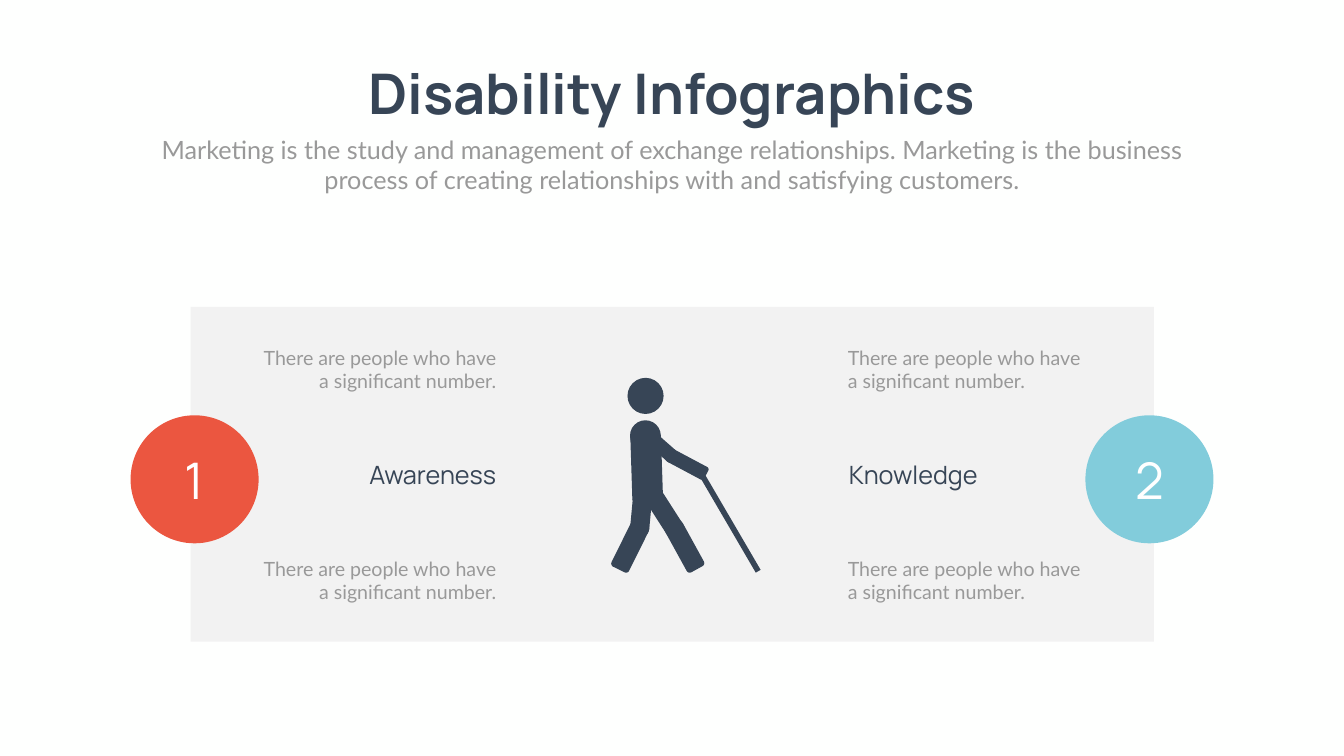
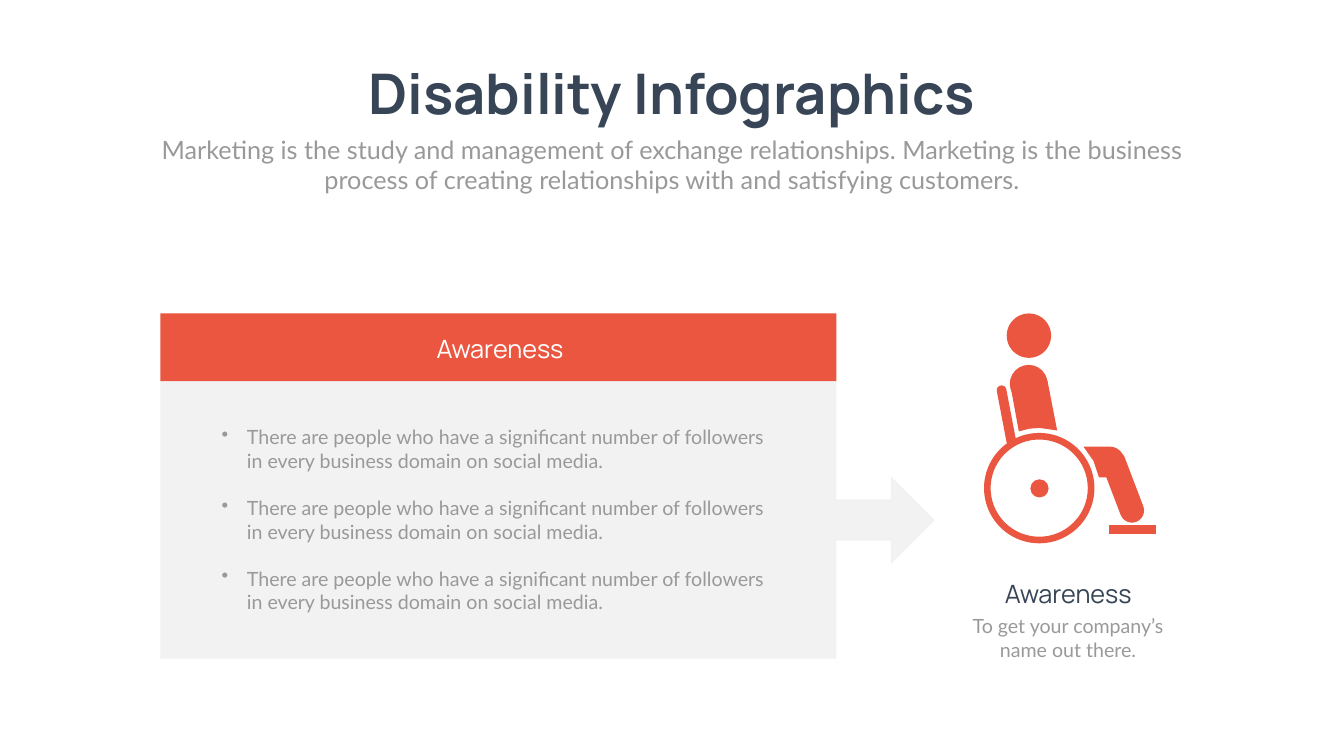
import math
from dataclasses import dataclass

import lxml.etree
import pptx
import pptx.dml.color
import pptx.enum.shapes
import pptx.enum.text
import pptx.oxml.ns
import pptx.util

Pt = pptx.util.Pt
ALIGN = pptx.enum.text.PP_ALIGN
KIND = pptx.enum.shapes.MSO_SHAPE
Box = tuple[float, float, float, float]

# Shared look
WIDE, HIGH = 1919.5, 1080
PAPER, INK, GREY, PALE = "FEFFFE", "374556", "999999", "F2F2F2"
RED, BLUE, WHITE = "EB5640", "82CCDB", "FFFFFF"
HEAD, BODY = "Manrope", "Lato"
NOTE = "There are people who have a significant number."
POINT = ("There are people who have a significant number of followers "
         "in every business domain on social media.")


@dataclass
class Corner:
    x: float
    y: float
    r: float = 0


@dataclass
class Limb:
    """A bar from a to b, with its own corner radius at each end."""
    a: tuple[float, float]
    b: tuple[float, float]
    width: float
    ra: float = 0
    rb: float = 0


@dataclass
class Disc:
    x: float
    y: float
    r: float


@dataclass
class Side:
    num: str
    name: str
    fill: str
    disc: float
    note: float
    label: tuple[float, float]
    align: ALIGN


SIDES = [
    Side("1", "Awareness", RED, 186.5, 363.6, (438.5, 277.2), ALIGN.RIGHT),
    Side("2", "Knowledge", BLUE, 1550.2, 1203.8, (1205.3, 246.2), ALIGN.LEFT),
]

WALKER = [
    Disc(922, 565.6, 25.8),                                        # head
    Limb((950, 646.6), (1008.7, 677.9), 20.2, 10, 4),              # forearm
    Limb((916.2, 613.6), (966.6, 657.9), 20, 10, 10),              # upper arm
    Limb((919.5, 741.6), (883.8, 813.6), 28, 14, 5),               # back shin
    Limb((912.4, 767.9), (919.8, 687.6), 27.4, 13.7, 5),           # back thigh
    Limb((970.8, 766.9), (927.4, 699.1), 27.5, 13.7, 5),           # front thigh
    Limb((956.6, 742.6), (995.4, 813.2), 28, 14, 5),               # front shin
    Disc(921.8, 622.4, 22),                                        # shoulder
    Limb((922, 619.2), (925.2, 717.1), 43.8, 5, 5),                # torso
    Limb((1003.3, 679.7), (1082.9, 816.1), 8),                     # cane
]

SITTER = [
    Disc(1469.5, 479.5, 31.7),                                     # head
    Limb((1622.9, 745.5), (1587.6, 653), 34.6, 17.3, 6),           # shin
    Disc(1469.2, 548.3, 27),                                       # shoulder
    Limb((1429.2, 550.8), (1445.8, 637.9), 13.8, 6.9, 6.9),        # chair back
    Disc(1484.6, 697.7, 13),                                       # hub
    [Corner(1547.3, 637.9), Corner(1606.3, 637.9, 21.6),           # thigh
     Corner(1606.3, 681.8, 21.6), Corner(1569.6, 681.8),
     Corner(1561.7, 658.3)],
    [Corner(1509.8, 614.9), Corner(1495.1, 539.3, 6),              # torso
     Corner(1442.9, 549.7, 6), Corner(1455.1, 616.3),
     Corner(1469.5, 612.5), Corner(1484.6, 611.3)],
    Limb((1584, 756.4), (1651.7, 756.4), 12.2),                    # foot rest
]


def tint(code: str) -> pptx.dml.color.RGBColor:
    return pptx.dml.color.RGBColor.from_string(code)


def paint(shape, fill: str):
    shape.shadow.inherit = False
    shape.fill.solid()
    shape.fill.fore_color.rgb = tint(fill)
    shape.line.fill.background()
    return shape


def draw(slide, kind, box: Box, fill: str):
    return paint(slide.shapes.add_shape(kind, *map(Pt, box)), fill)


# Text
def mark(para, col: str) -> None:
    """Give a paragraph a hanging dot."""
    props = para._p.get_or_add_pPr()
    props.set("marL", str(Pt(36)))
    props.set("indent", str(-Pt(36)))
    qn = pptx.oxml.ns.qn
    shade = lxml.etree.SubElement(props, qn("a:buClr"))
    lxml.etree.SubElement(shade, qn("a:srgbClr"), val=col)
    lxml.etree.SubElement(props, qn("a:buChar"), char="•")


def write(frame, *lines: str, size: float = 28, font: str = BODY,
          col: str = GREY, align=ALIGN.CENTER, bold: bool = False,
          dots: bool = False, gap: float = 0) -> None:
    frame.word_wrap = True
    for i, line in enumerate(lines):
        para = frame.paragraphs[0] if i == 0 else frame.add_paragraph()
        para.alignment = align
        if i:
            para.space_before = Pt(gap)
        if dots:
            mark(para, col)
        run = para.add_run()
        run.text = line
        run.font.size, run.font.name, run.font.bold = Pt(size), font, bold
        run.font.color.rgb = tint(col)


def label(slide, box: Box, *lines: str, **style) -> None:
    write(slide.shapes.add_textbox(*map(Pt, box)).text_frame, *lines, **style)


# Figures
def bend(prev: Corner, here: Corner, then: Corner) -> list[tuple[float, float]]:
    """Points of the arc that rounds one corner."""
    if not here.r:
        return [(here.x, here.y)]

    def toward(mate: Corner) -> tuple[float, float]:
        span = math.dist((here.x, here.y), (mate.x, mate.y))
        return (mate.x - here.x) * here.r / span, (mate.y - here.y) * here.r / span

    (ux, uy), (vx, vy) = toward(prev), toward(then)
    turns = [math.radians(15 * i) for i in range(7)]
    return [(here.x + ux * (1 - math.sin(t)) + vx * (1 - math.cos(t)),
             here.y + uy * (1 - math.sin(t)) + vy * (1 - math.cos(t)))
            for t in turns]


def shell(limb: Limb) -> list[Corner]:
    (ax, ay), (bx, by) = limb.a, limb.b
    half = limb.width / 2 / math.dist(limb.a, limb.b)
    nx, ny = (ay - by) * half, (bx - ax) * half
    return [Corner(ax + nx, ay + ny, limb.ra), Corner(ax - nx, ay - ny, limb.ra),
            Corner(bx - nx, by - ny, limb.rb), Corner(bx + nx, by + ny, limb.rb)]


def trace(slide, path: list[Corner], fill: str) -> None:
    dots = [(Pt(x), Pt(y)) for i, here in enumerate(path)
            for x, y in bend(path[i - 1], here, path[(i + 1) % len(path)])]
    pen = slide.shapes.build_freeform(*dots[0])
    pen.add_line_segments(dots[1:], close=True)
    paint(pen.convert_to_shape(), fill)


def figure(slide, parts: list, fill: str) -> None:
    for part in parts:
        if isinstance(part, Disc):
            r = part.r
            draw(slide, KIND.OVAL, (part.x - r, part.y - r, 2 * r, 2 * r), fill)
        else:
            trace(slide, shell(part) if isinstance(part, Limb) else part, fill)


# Slides
def start(deck):
    slide = deck.slides.add_slide(deck.slide_layouts[6])
    slide.background.fill.solid()
    slide.background.fill.fore_color.rgb = tint(PAPER)
    label(slide, (483.1, 80.6, 953.3, 104.4), "Disability Infographics",
          size=80, font=HEAD, col=INK, bold=True)
    label(slide, (210.2, 187.9, 1499, 94.3),
          "Marketing is the study and management of exchange relationships. "
          "Marketing is the business process of creating relationships with "
          "and satisfying customers.", size=36)
    return slide


def walk(deck) -> None:
    slide = start(deck)
    draw(slide, KIND.RECTANGLE, (272.2, 438.5, 1375.9, 478.1), PALE)
    for side in SIDES:
        x, wide = side.label
        label(slide, (x, 652.3, wide, 51.1), side.name,
              size=36, font=HEAD, col=INK, align=side.align)
        for top in (792, 490.3):
            label(slide, (side.note, top, 352.1, 74.9), NOTE, align=side.align)
    figure(slide, WALKER, INK)
    for side in SIDES:
        disc = draw(slide, KIND.OVAL, (side.disc, 593.3, 182.9, 182.9), side.fill)
        disc.text_frame.vertical_anchor = pptx.enum.text.MSO_ANCHOR.MIDDLE
        write(disc.text_frame, side.num, size=72, font=HEAD, col=WHITE)


def ride(deck) -> None:
    slide = start(deck)
    # Card with its band and points
    draw(slide, KIND.RECTANGLE, (229, 447.8, 965.5, 97.2), RED)
    draw(slide, KIND.RECTANGLE, (229, 545, 965.5, 396), PALE)
    label(slide, (439.9, 473, 548.6, 51.1), "Awareness",
          size=36, font=HEAD, col=WHITE)
    label(slide, (309.6, 604.1, 810, 278.6), *[POINT] * 3,
          align=ALIGN.LEFT, dots=True, gap=33.6)
    arrow = draw(slide, KIND.RIGHT_ARROW, (1177.2, 680.4, 157.7, 125.3), PALE)
    arrow.adjustments[0], arrow.adjustments[1] = 0.47, 0.5
    # Person in a wheelchair
    figure(slide, SITTER, RED)
    wheel = draw(slide, KIND.DONUT, (1405.4, 618.5, 157.7, 157.7), RED)
    wheel.adjustments[0] = 0.06
    label(slide, (1360.1, 874.1, 330.5, 74.9),
          "To get your company’s name out there.")
    label(slide, (1381.7, 823, 288, 51.1), "Awareness",
          size=36, font=HEAD, col=INK)


def main() -> None:
    deck = pptx.Presentation()
    deck.slide_width, deck.slide_height = Pt(WIDE), Pt(HIGH)
    walk(deck)
    ride(deck)
    deck.save("out.pptx")


if __name__ == "__main__":
    main()
